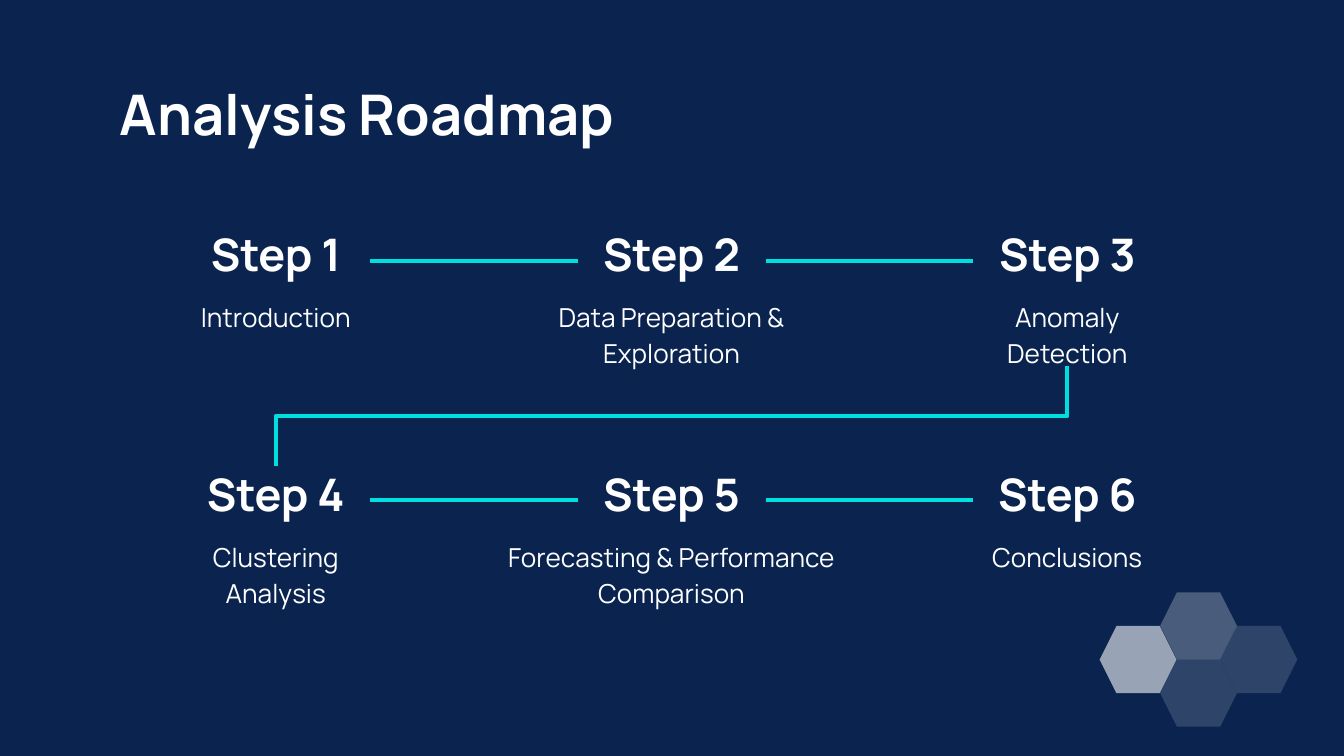
from lxml.etree import SubElement
from pptx import Presentation
from pptx.dml.color import RGBColor
from pptx.enum.shapes import MSO_CONNECTOR, MSO_SHAPE
from pptx.enum.text import MSO_ANCHOR, MSO_AUTO_SIZE, PP_ALIGN
from pptx.oxml.ns import qn
from pptx.util import Pt

TITLE = "Analysis Roadmap"
# Heading, description, description width
STEPS = [
    ("Step 1", "Introduction", 100.8),
    ("Step 2", "Data Preparation & Exploration", 156.2),
    ("Step 3", "Anomaly Detection", 100.8),
    ("Step 4", "Clustering Analysis", 100.8),
    ("Step 5", "Forecasting & Performance Comparison", 198.7),
    ("Step 6", "Conclusions", 100.8),
]
# Left, top, opacity in percent
HEXAGONS = [(653.8, 335.4, 15), (621.5, 353.4, 15), (621.5, 317.4, 26), (589.1, 335.4, 58)]
HEXAGON_WIDTH, HEXAGON_HEIGHT = 41.2, 36

COLORS = {"background": "0A244F", "text": "FFFFFF", "line": "00DFDF"}
FONT = "Manrope"
COLUMNS = 3
FIRST_LEFT, COLUMN_STEP = 97.4, 212
FIRST_TOP, ROW_STEP = 121.7, 128.2
HEADING_WIDTH, HEADING_HEIGHT = 100.8, 36
DETAIL_OFFSET, DETAIL_HEIGHT = 30.2, 45

HEADING_FRAME = {"vertical_anchor": MSO_ANCHOR.BOTTOM}
CENTERED = {"alignment": PP_ALIGN.CENTER, "line_spacing": 1.15}


def color(name):
    return RGBColor.from_string(COLORS[name])


def set_all(target, values):
    for name, value in values.items():
        setattr(target, name, value)


def write(box, text, size, bold, paragraph_format, frame_format):
    frame = box.text_frame
    frame.text = text
    margins = {f"margin_{side}": Pt(7.2) for side in ("left", "top", "right", "bottom")}
    set_all(frame, {"word_wrap": True, "auto_size": MSO_AUTO_SIZE.NONE,
                    "vertical_anchor": MSO_ANCHOR.TOP, **margins, **frame_format})
    paragraph = frame.paragraphs[0]
    set_all(paragraph, paragraph_format)
    font = paragraph.runs[0].font
    set_all(font, {"name": FONT, "size": Pt(size), "bold": bold})
    font.color.rgb = color("text")


def add_text(page, left, top, width, height, *style):
    box = page.shapes.add_textbox(Pt(left), Pt(top), Pt(width), Pt(height))
    write(box, *style)


def add_elbow(page, *ends):
    connector = page.shapes.add_connector(MSO_CONNECTOR.ELBOW, *map(Pt, ends))
    connector.line.color.rgb = color("line")
    connector.line.width = Pt(2.25)
    SubElement(connector._element.spPr, qn("a:effectLst"))
    return connector


def add_vertical_elbow(page, start_x, start_y, end_x, end_y):
    """Join two points by an elbow that leaves downwards: a quarter turn of a plain one."""
    center_x, center_y = (start_x + end_x) / 2, (start_y + end_y) / 2
    half_width, half_height = (end_y - start_y) / 2, (start_x - end_x) / 2
    connector = add_elbow(page, center_x - half_width, center_y - half_height,
                          center_x + half_width, center_y + half_height)
    connector._element.spPr.find(qn("a:xfrm")).set("rot", "5400000")


def add_hexagon(page, left, top, opacity):
    hexagon = page.shapes.add_shape(MSO_SHAPE.HEXAGON, Pt(left), Pt(top),
                                    Pt(HEXAGON_WIDTH), Pt(HEXAGON_HEIGHT))
    hexagon.adjustments[0] = 0.25
    hexagon.shadow.inherit = False
    hexagon.line.fill.background()
    hexagon.fill.solid()
    hexagon.fill.fore_color.rgb = color("text")
    fill = hexagon._element.spPr.find(qn("a:solidFill"))
    SubElement(fill[0], qn("a:alpha"), val=str(opacity * 1000))


def add_step(page, index, heading, detail, detail_width):
    row, column = divmod(index, COLUMNS)
    left = FIRST_LEFT + column * COLUMN_STEP
    top = FIRST_TOP + row * ROW_STEP
    add_text(page, left, top, HEADING_WIDTH, HEADING_HEIGHT,
             heading, 24, True, CENTERED, HEADING_FRAME)
    add_text(page, left + (HEADING_WIDTH - detail_width) / 2, top + DETAIL_OFFSET,
             detail_width, DETAIL_HEIGHT, detail, 14, False, CENTERED, {})
    if column < COLUMNS - 1:
        middle = top + HEADING_HEIGHT / 2
        add_elbow(page, left + HEADING_WIDTH, middle, left + COLUMN_STEP, middle)


def main():
    deck = Presentation()
    deck.slide_width, deck.slide_height = Pt(720), Pt(405)
    page = deck.slides.add_slide(deck.slide_layouts[5])
    page.background.fill.solid()
    page.background.fill.fore_color.rgb = color("background")

    title = page.shapes.title
    set_all(title, {"left": Pt(57), "top": Pt(35.2), "width": Pt(607), "height": Pt(45)})
    write(title, TITLE, 30, True, {"alignment": PP_ALIGN.LEFT}, {})

    for hexagon in HEXAGONS:
        add_hexagon(page, *hexagon)
    for index, step in enumerate(STEPS):
        add_step(page, index, *step)

    first_center = FIRST_LEFT + HEADING_WIDTH / 2
    last_center = first_center + (COLUMNS - 1) * COLUMN_STEP
    add_vertical_elbow(page, last_center, FIRST_TOP + DETAIL_OFFSET + DETAIL_HEIGHT - 1,
                       first_center, FIRST_TOP + ROW_STEP)
    deck.save("out.pptx")


if __name__ == "__main__":
    main()
